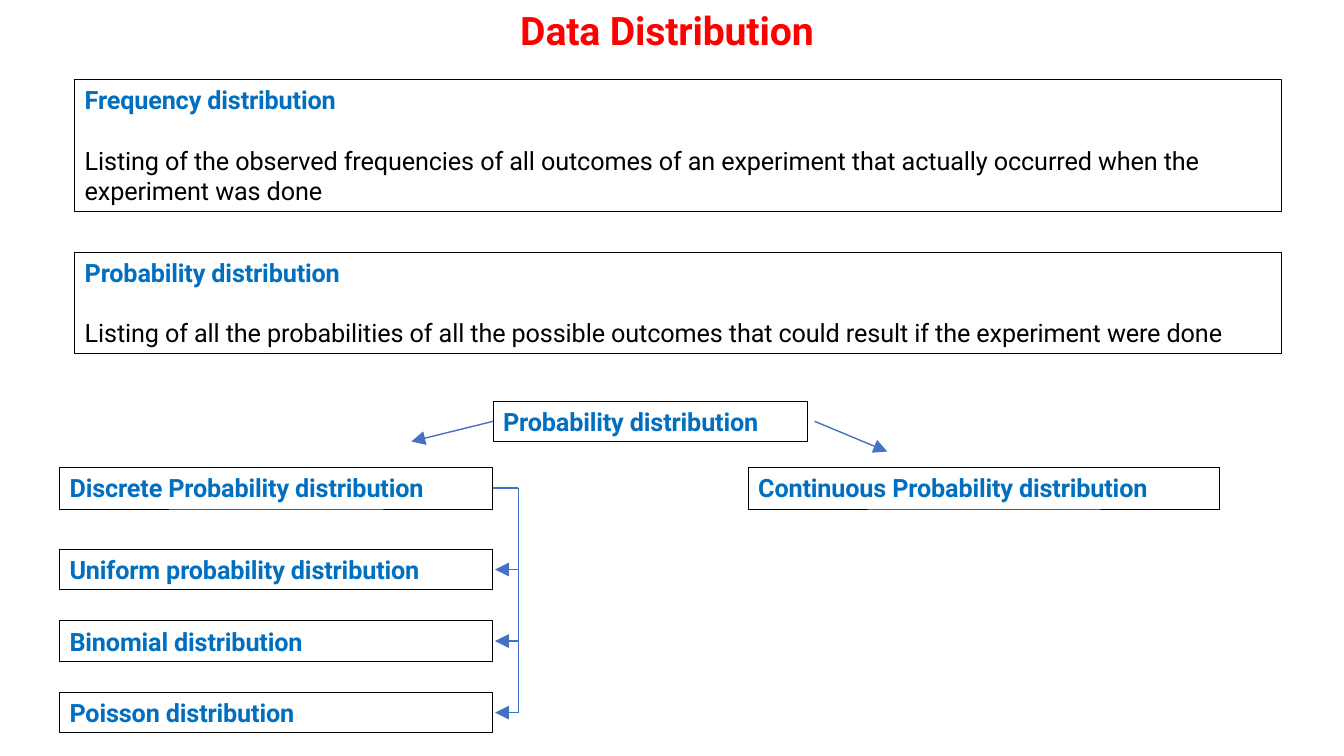
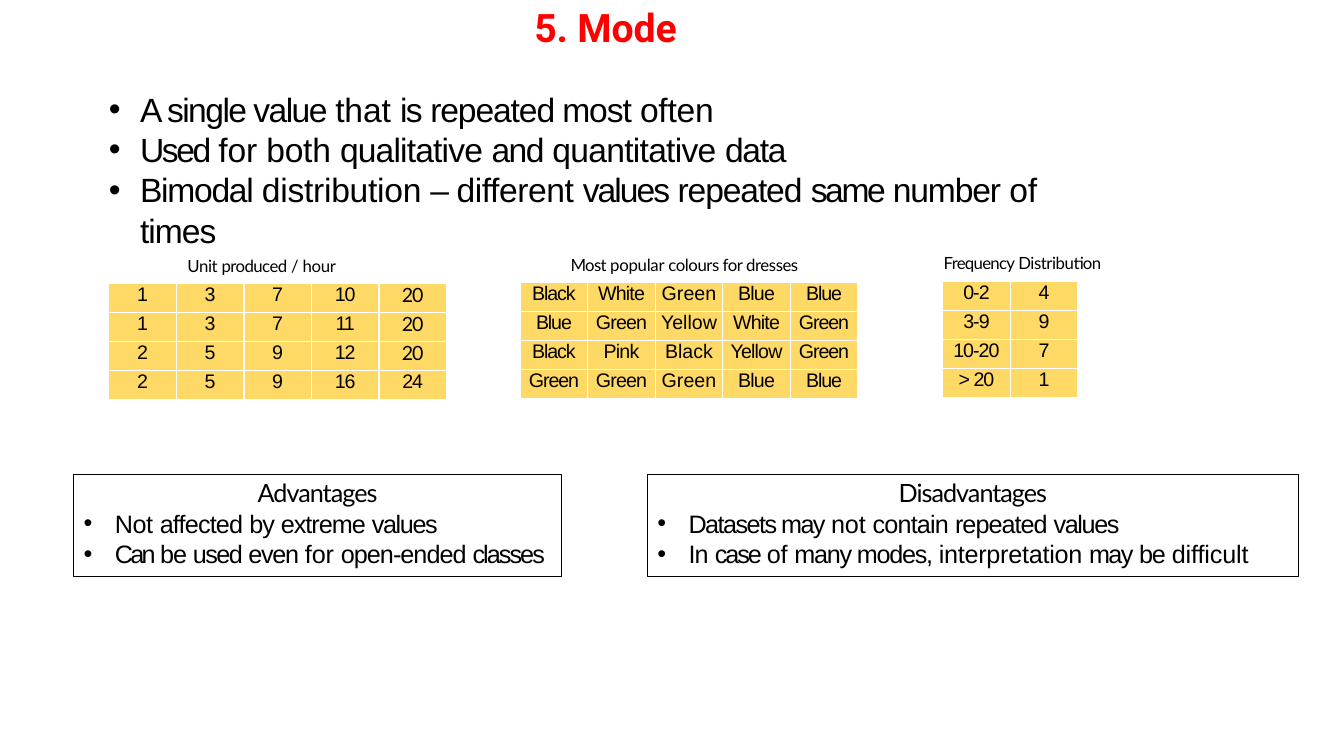
"""Build two statistics slides: data distribution and mode."""
import pptx
import pptx.dml.color
import pptx.enum.shapes
import pptx.enum.text
import pptx.oxml.ns
import pptx.util
from lxml import etree
from pptx.util import Inches, Pt

COLORS = {"title": "FF0000", "heading": "006FC0", "text": "000000",
          "arrow": "4471C4", "cell": "FFD966", "grid": "FFFFFF"}
TITLE = {"size": 28, "font": "Roboto", "color": "title", "bold": True, "indent": 0.01, "before": 0.9}
HEADING = {"size": 18, "font": "Roboto", "color": "heading", "bold": True, "indent": 0.1, "before": 3.5}
DEFINITION = {"size": 18, "font": "Roboto", "indent": 0.1, "before": 21.5}
CAPTION = {"size": 12, "font": "Lato", "indent": 0.01, "before": 1}
BULLET = {"size": 24, "font": "Arial", "indent": 0.33, "bullet": True}
PANEL_HEADING = {"size": 18, "font": "Lato", "centered": True, "before": 2.5}
PANEL_BULLET = {"size": 18, "font": "Arial", "indent": 0.41, "bullet": True}

DEFINITIONS = [
    ((0.74, 0.79, 11.97, 1.31), "Frequency distribution",
     "Listing of the observed frequencies of all outcomes of an experiment that "
     "actually occurred when the experiment was done"),
    ((0.74, 2.5, 11.97, 1.01), "Probability distribution",
     "Listing of all the probabilities of all the possible outcomes that could "
     "result if the experiment were done"),
]
BRANCHES = [
    ((4.89, 3.98, 3.12, 0.4), "Probability distribution"),
    ((0.59, 4.64, 4.3, 0.41), "Discrete Probability distribution"),
    ((7.42, 4.64, 4.68, 0.41), "Continuous Probability distribution"),
]
BRANCH_ARROWS = [((4.89, 4.18), (4.08, 4.38)), ((8.08, 4.18), (8.8, 4.48))]
DISCRETE_TYPES = ["Uniform probability distribution", "Binomial distribution", "Poisson distribution"]
TYPE_LEFT, TYPE_TOP, TYPE_PITCH = 0.59, 5.45, 0.71
TYPE_WIDTH, TYPE_HEIGHT = 4.3, 0.4
BRACKET_X, BRACKET_TOP = 5.14, 4.84

MODE_POINTS = [
    [("A ", -2.1), ("single value ", -1.1), ("that ", -0.1), ("is ", -1.2),
     ("repeated most ", -0.8), ("often", -0.2)],
    [("Used ", -1.7), ("for ", -0.1), ("both ", -0.2), ("qualitative ", -0.6),
     ("and ", -1.1), ("quantitative ", -0.5), ("data", -0.9)],
    [("Bimodal ", -0.9), ("distribution ", -0.2), ("– ", -1.4), ("different ", -0.3),
     ("values ", -1.4), ("repeated ", -0.8), ("same ", -1.7), ("number ", -0.8),
     ("of ", -0.1), ("times", -0.7)],
]
CAPTIONS = [
    ((1.85, 2.53, 1.5, 0.23), [("Unit ", -0.3), ("produced ", -0.4), ("/ ", -0.3), ("hour", -0.2)]),
    ((5.65, 2.52, 2.3, 0.23), [("Most ", -0.5), ("popular ", -0.2), ("colours for dresses", -0.3)]),
    ((9.35, 2.5, 1.61, 0.23), [("Frequency ", -0.5), ("Distribution", -0.3)]),
]
TABLES = [
    {"at": (1.08, 2.81), "spacing": [0, 0, 0, -0.8, -0.8], "fonts": {"20": "Lato"},
     "rows": [["1", "3", "7", "10", "20"],
              ["1", "3", "7", "11", "20"],
              ["2", "5", "9", "12", "20"],
              ["2", "5", "9", "16", "24"]]},
    {"at": (5.16, 2.8), "spacing": [-0.8, -0.6, 0, -0.6, -0.8], "fonts": {},
     "rows": [["Black", "White", "Green", "Blue", "Blue"],
              ["Blue", "Green", "Yellow", "White", "Green"],
              ["Black", "Pink", "Black", "Yellow", "Green"],
              ["Green", "Green", "Green", "Blue", "Blue"]]},
    {"at": (9.35, 2.79), "spacing": [-0.7, 0], "fonts": {},
     "rows": [["0-2", "4"], ["3-9", "9"], ["10-20", "7"], ["> 20", "1"]]},
]
COLUMN_WIDTH, ROW_HEIGHT = 0.67, 0.29
PANELS = [
    ((0.73, 4.71, 4.84, 1.01), "Advantages", [
        [("Not ", -0.3), ("affected ", -0.6), ("by ", -0.8), ("extreme ", -0.7), ("values", -1)],
        [("Can ", -1.9), ("be ", -0.8), ("used ", -1.1), ("even ", -0.9), ("for ", -0.1),
         ("open-ended ", -0.7), ("classes", -1.4)]]),
    ((6.42, 4.71, 6.46, 1.01), "Disadvantages", [
        [("Datasets may ", -1.1), ("not ", -0.1), ("contain ", -0.6), ("repeated ", -0.7), ("values", -1)],
        [("In ", -0.6), ("case ", -1.5), ("of ", -0.1), ("many modes, ", -0.9),
         ("interpretation ", -0.2), ("may ", -1.1), ("be ", -0.8), ("difficult", -0.1)]]),
]


def color(name):
    return pptx.dml.color.RGBColor.from_string(COLORS[name])


def add_element(parent, tag, **attributes):
    return etree.SubElement(parent, pptx.oxml.ns.qn(tag), attributes)


def write_paragraph(paragraph, pieces, style):
    """Fill a paragraph with (text, letter spacing) pieces in one style."""
    paragraph.alignment = (pptx.enum.text.PP_ALIGN.CENTER if style.get("centered")
                           else pptx.enum.text.PP_ALIGN.LEFT)
    paragraph.space_before = Pt(style.get("before", 0))
    properties = paragraph._p.get_or_add_pPr()
    properties.set("marL", str(Inches(style.get("indent", 0))))
    if style.get("bullet"):
        properties.set("indent", str(Inches(-0.31)))
        add_element(properties, "a:buFont", typeface="Arial")
        add_element(properties, "a:buChar", char="•")
    for text, spacing in pieces:
        run = paragraph.add_run()
        run.text = text
        run.font.size = Pt(style["size"])
        run.font.name = style["font"]
        run.font.bold = style.get("bold", False)
        run.font.color.rgb = color(style.get("color", "text"))
        run._r.get_or_add_rPr().set("spc", str(round(spacing * 100)))


def write_text(shape, top_inset, paragraphs):
    frame = shape.text_frame
    frame.word_wrap = True
    frame.vertical_anchor = pptx.enum.text.MSO_ANCHOR.TOP
    frame.margin_left = frame.margin_right = frame.margin_bottom = 0
    frame.margin_top = Inches(top_inset)
    for index, (pieces, style) in enumerate(paragraphs):
        paragraph = frame.add_paragraph() if index else frame.paragraphs[0]
        write_paragraph(paragraph, pieces, style)


def add_text(slide, box, paragraphs):
    shape = slide.shapes.add_textbox(*map(Inches, box))
    write_text(shape, 0.01, paragraphs)


def add_box(slide, box, paragraphs, top_inset=0.05):
    shape = slide.shapes.add_shape(pptx.enum.shapes.MSO_SHAPE.RECTANGLE, *map(Inches, box))
    shape.shadow.inherit = False
    shape.fill.background()
    shape.line.color.rgb = color("text")
    shape.line.width = Pt(0.72)
    write_text(shape, top_inset, paragraphs)


def add_line(slide, start, end, arrow=True):
    line = slide.shapes.add_connector(pptx.enum.shapes.MSO_CONNECTOR.STRAIGHT,
                                      *map(Inches, start + end))
    line.line.color.rgb = color("arrow")
    line.line.width = Pt(1)
    if arrow:
        add_element(line.line._get_or_add_ln(), "a:tailEnd", type="triangle", w="lg", len="lg")
    add_element(line._element.spPr, "a:effectLst")


def add_grid(slide, data):
    rows = data["rows"]
    row_count, column_count = len(rows), len(rows[0])
    table = slide.shapes.add_table(
        row_count, column_count, *map(Inches, data["at"]),
        Inches(COLUMN_WIDTH * column_count), Inches(ROW_HEIGHT * row_count)).table
    table.first_row = table.horz_banding = False
    for column in table.columns:
        column.width = Inches(COLUMN_WIDTH)
    for row, texts in zip(table.rows, rows):
        row.height = Inches(ROW_HEIGHT)
        for cell, text, spacing in zip(row.cells, texts, data["spacing"]):
            cell.margin_left = cell.margin_right = cell.margin_top = cell.margin_bottom = 0
            properties = cell._tc.get_or_add_tcPr()
            for side in ("a:lnL", "a:lnR", "a:lnT", "a:lnB"):
                border = add_element(properties, side, w=str(Pt(1)))
                add_element(add_element(border, "a:solidFill"), "a:srgbClr", val=COLORS["grid"])
            cell.fill.solid()
            cell.fill.fore_color.rgb = color("cell")
            style = {"size": 14, "font": data["fonts"].get(text, "Arial"), "centered": True}
            write_paragraph(cell.text_frame.paragraphs[0], [(text, spacing)], style)


def add_slide(presentation, title, box):
    slide = presentation.slides.add_slide(presentation.slide_layouts[6])
    add_text(slide, box, [([(title, -0.1)], TITLE)])
    return slide


def build_distribution(presentation):
    slide = add_slide(presentation, "Data Distribution", (5.15, 0.05, 3.38, 0.49))
    for box, heading, definition in DEFINITIONS:
        add_box(slide, box, [([(heading, -0.1)], HEADING), ([(definition, -0.08)], DEFINITION)])
    for box, label in BRANCHES:
        add_box(slide, box, [([(label, -0.1)], HEADING)])
    for start, end in BRANCH_ARROWS:
        add_line(slide, start, end)
    right = TYPE_LEFT + TYPE_WIDTH
    for index, label in enumerate(DISCRETE_TYPES):
        top = TYPE_TOP + index * TYPE_PITCH
        middle = top + TYPE_HEIGHT / 2
        add_box(slide, (TYPE_LEFT, top, TYPE_WIDTH, TYPE_HEIGHT), [([(label, -0.1)], HEADING)])
        add_line(slide, (BRACKET_X, middle), (right + 0.02, middle))
    add_line(slide, (right, BRACKET_TOP), (BRACKET_X, BRACKET_TOP), arrow=False)
    add_line(slide, (BRACKET_X, BRACKET_TOP), (BRACKET_X, middle), arrow=False)


def build_mode(presentation):
    slide = add_slide(presentation, "5. Mode", (5.29, 0.02, 1.57, 0.49))
    add_text(slide, (1.06, 0.87, 9.94, 1.23), [(point, BULLET) for point in MODE_POINTS])
    for box, pieces in CAPTIONS:
        add_text(slide, box, [(pieces, CAPTION)])
    for data in TABLES:
        add_grid(slide, data)
    for box, heading, points in PANELS:
        paragraphs = [([(heading, -0.7)], PANEL_HEADING)]
        paragraphs += [(point, PANEL_BULLET) for point in points]
        add_box(slide, box, paragraphs, top_inset=0.03)


def main():
    presentation = pptx.Presentation()
    presentation.slide_width = Inches(13.33)
    presentation.slide_height = Inches(7.5)
    build_distribution(presentation)
    build_mode(presentation)
    presentation.save("out.pptx")


if __name__ == "__main__":
    main()
